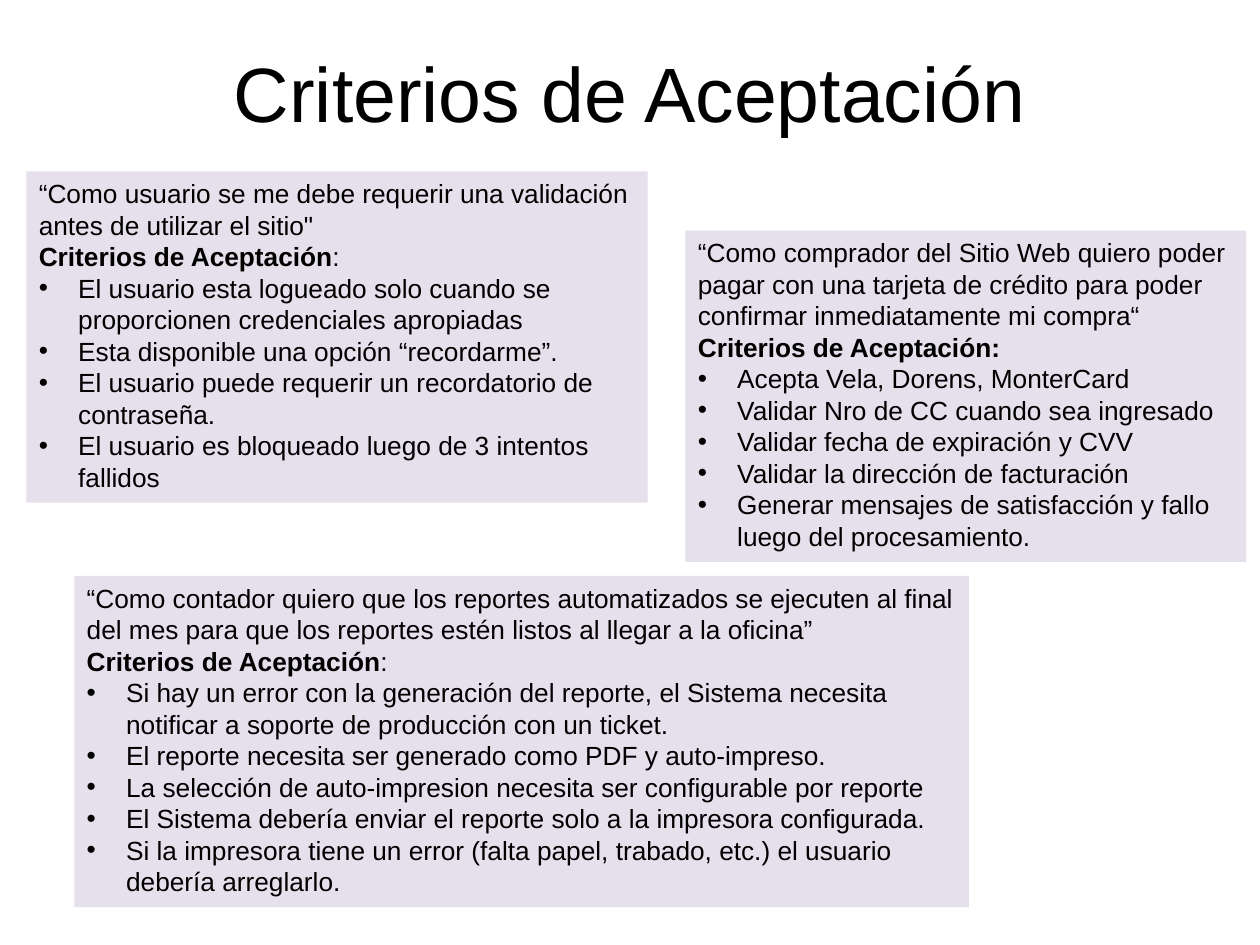
"""Build the acceptance criteria slide with three user story cards."""
from dataclasses import dataclass

from lxml import etree
from pptx import Presentation
from pptx.dml.color import RGBColor
from pptx.enum.shapes import MSO_SHAPE
from pptx.enum.text import MSO_ANCHOR, PP_ALIGN
from pptx.oxml.ns import qn
from pptx.util import Pt

RECTANGLE = MSO_SHAPE.RECTANGLE
TOP, MIDDLE = MSO_ANCHOR.TOP, MSO_ANCHOR.MIDDLE
LEFT, CENTER = PP_ALIGN.LEFT, PP_ALIGN.CENTER
BLACK, LAVENDER = "000000", "E6E0EC"
FONT = "Arial"
HEADING = "Criterios de Aceptación"
CARD_HEIGHT = 189.36
INDENT = 22.5
CARD_FRAME = {
    "word_wrap": True, "vertical_anchor": TOP,
    "margin_left": Pt(7.2), "margin_right": Pt(7.2),
    "margin_top": Pt(3.6), "margin_bottom": Pt(3.6),
}
TITLE_FRAME = {"word_wrap": True, "vertical_anchor": MIDDLE} | {
    f"margin_{side}": Pt(7.2) for side in ("left", "right", "top", "bottom")
}


@dataclass
class StoryCard:
    left: float
    top: float
    width: float
    story: str
    criteria: list[str]
    bold_colon: bool = False


CARDS = [
    StoryCard(15.12, 97.92, 354.96,
              "“Como usuario se me debe requerir una validación antes de utilizar el sitio\"",
              ["El usuario esta logueado solo cuando se proporcionen credenciales apropiadas",
               "Esta disponible una opción “recordarme”.",
               "El usuario puede requerir un recordatorio de contraseña.",
               "El usuario es bloqueado luego de 3 intentos fallidos"]),
    StoryCard(391.68, 131.76, 320.4,
              "“Como comprador del Sitio Web quiero poder pagar con una tarjeta de crédito "
              "para poder confirmar inmediatamente mi compra“",
              ["Acepta Vela, Dorens, MonterCard",
               "Validar Nro de CC cuando sea ingresado",
               "Validar fecha de expiración y CVV",
               "Validar la dirección de facturación",
               "Generar mensajes de satisfacción y fallo luego del procesamiento."],
              bold_colon=True),
    StoryCard(42.48, 329.04, 511.2,
              "“Como contador quiero que los reportes automatizados se ejecuten al final "
              "del mes para que los reportes estén listos al llegar a la oficina”",
              ["Si hay un error con la generación del reporte, el Sistema necesita "
               "notificar a soporte de producción con un ticket.",
               "El reporte necesita ser generado como PDF y auto-impreso.",
               "La selección de auto-impresion necesita ser configurable por reporte",
               "El Sistema debería enviar el reporte solo a la impresora configurada.",
               "Si la impresora tiene un error (falta papel, trabado, etc.) el usuario "
               "debería arreglarlo."]),
]


def color(value: str) -> RGBColor:
    """Turn a hex string into a colour."""
    return RGBColor.from_string(value)


def apply(target, values: dict) -> None:
    """Set every listed attribute on the target."""
    for name, value in values.items():
        setattr(target, name, value)


def add_span(paragraph, text: str, size: float, bold: bool = False) -> None:
    """Append formatted text to a paragraph."""
    span = paragraph.add_run()
    span.text = text
    apply(span.font, {"name": FONT, "size": Pt(size), "bold": bold})
    span.font.color.rgb = color(BLACK)


def add_bullet(paragraph) -> None:
    """Give a paragraph a hanging round bullet."""
    properties = paragraph._p.get_or_add_pPr()
    properties.set("marL", str(Pt(INDENT)))
    properties.set("indent", str(-Pt(INDENT)))
    etree.SubElement(properties, qn("a:buFont")).set("typeface", FONT)
    etree.SubElement(properties, qn("a:buChar")).set("char", "•")


def add_card(page, card: StoryCard) -> None:
    """Draw one story with its acceptance criteria."""
    box = page.shapes.add_shape(RECTANGLE, Pt(card.left), Pt(card.top),
                                Pt(card.width), Pt(CARD_HEIGHT))
    box.shadow.inherit = False
    box.fill.solid()
    box.fill.fore_color.rgb = color(LAVENDER)
    box.line.fill.background()
    frame = box.text_frame
    apply(frame, CARD_FRAME)
    lines = [[(card.story, False)],
             [(HEADING, True), (":", card.bold_colon)]]
    lines += [[(criterion, False)] for criterion in card.criteria]
    for index, spans in enumerate(lines):
        para = frame.add_paragraph() if index else frame.paragraphs[0]
        apply(para, {"alignment": LEFT, "line_spacing": Pt(18)})
        if index > 1:
            add_bullet(para)
        for text, bold in spans:
            add_span(para, text, 15, bold)


def add_title(page) -> None:
    """Place and format the slide title."""
    title = page.shapes.title
    apply(title, {"left": Pt(49.68), "top": Pt(0),
                  "width": Pt(620.64), "height": Pt(104.4)})
    apply(title.text_frame, TITLE_FRAME)
    para = title.text_frame.paragraphs[0]
    para.alignment = CENTER
    add_span(para, HEADING, 44)


def main() -> None:
    """Create and save the deck."""
    deck = Presentation()
    apply(deck, {"slide_width": Pt(720), "slide_height": Pt(540)})
    page = deck.slides.add_slide(deck.slide_layouts[5])
    add_title(page)
    for card in CARDS:
        add_card(page, card)
    deck.save("out.pptx")


if __name__ == "__main__":
    main()
